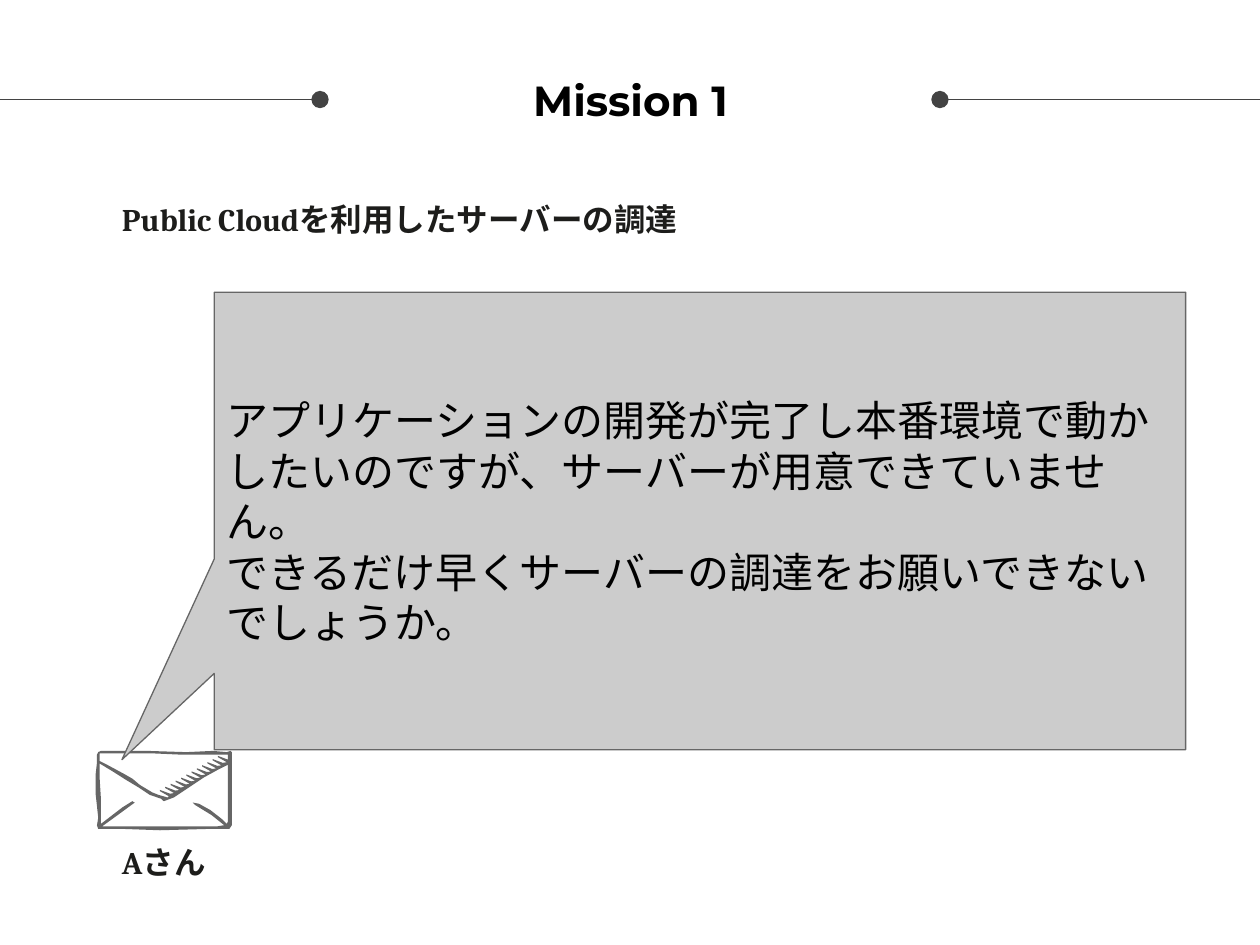
from dataclasses import dataclass, field

from lxml import etree
from pptx import Presentation, util as u
from pptx.dml.color import RGBColor
from pptx.enum import shapes as sh, text as t
from pptx.oxml.ns import qn

PX = 9144  # 100 px to the inch
FINE = 10  # steps per px in the icon
EAST = "Arial"  # font for Japanese letters
HUES = {"rule": "434343", "ink": "000000", "soft": "1D1D1B",
        "edge": "666666", "fill": "CCCCCC"}


@dataclass
class Words:
    lines: list[str]
    font: str
    size: int
    hue: str
    bold: bool = False
    align: t.PP_ALIGN = t.PP_ALIGN.LEFT
    anchor: t.MSO_ANCHOR = t.MSO_ANCHOR.TOP


@dataclass
class Label:
    box: tuple[int, int, int, int]
    words: Words = field(repr=False)


MID = {"align": t.PP_ALIGN.CENTER, "anchor": t.MSO_ANCHOR.MIDDLE}
TITLE = Label((255, 17, 491, 125),
              Words(["Mission 1"], "Montserrat", 24, "ink", True, **MID))
LABELS = [
    Label((87, 149, 826, 77),
          Words(["Public Cloudを利用したサーバーの調達"], "Cambria", 18, "soft", True)),
    Label((76, 659, 108, 77),
          Words(["Aさん"], "Cambria", 18, "soft", True, t.PP_ALIGN.CENTER)),
]
SPEECH = Label((170, 232, 771, 363), Words(
    ["アプリケーションの開発が完了し本番環境で動かしたいのですが、サーバーが用意できていません。",
     "できるだけ早くサーバーの調達をお願いできないでしょうか。"],
    "Arial", 24, "ink", anchor=t.MSO_ANCHOR.MIDDLE))
RULES = [(254, 0), (746, 1000)]
RULE_Y = 79

# Envelope: outer edge, then the holes above and below the flap
RIM = [(93, 596), (80, 596), (78, 597), (77, 599), (77, 605), (76, 614),
       (76, 631), (78, 649), (77, 655), (78, 658), (99, 658), (127, 659),
       (164, 658), (182, 658), (184, 655), (184, 597), (183, 596),
       (180, 597), (169, 596), (148, 597), (117, 596)]
FLAP = [(133, 633), (126, 631), (121, 629), (111, 623), (105, 618), (98, 614),
        (85, 607), (79, 604), (79, 598), (98, 598), (121, 598), (144, 599),
        (181, 599)]
FRONT = [(79, 606), (89, 612), (100, 619), (110, 625), (119, 631), (128, 634),
         (130, 636), (138, 633), (147, 627), (162, 617), (173, 611),
         (181, 607), (181, 652), (180, 654), (176, 650), (167, 643),
         (158, 638), (153, 637), (155, 639), (168, 647), (178, 655),
         (172, 656), (147, 656), (104, 656), (81, 656), (92, 648), (107, 637),
         (105, 636), (97, 641), (84, 651), (80, 654), (80, 632), (79, 616)]
TEETH = 12
TIPS = ((173, 600), (127, 627))
TOOTH = [(8, 3), (0, 0), (0, 1), (7, 5)]


def paint(item, **vals) -> None:
    for key, val in vals.items():
        setattr(item, key, val)


def rgb(hue: str) -> RGBColor:
    return RGBColor.from_string(HUES[hue])


def scale(box: tuple) -> list[int]:
    return [n * PX for n in box]


def write(shape, words: Words) -> None:
    frame = shape.text_frame
    inset = 10 * PX
    paint(frame, word_wrap=True, auto_size=t.MSO_AUTO_SIZE.NONE,
          vertical_anchor=words.anchor, margin_left=inset, margin_right=inset,
          margin_top=inset, margin_bottom=inset)
    for i, line in enumerate(words.lines):
        para = frame.add_paragraph() if i else frame.paragraphs[0]
        paint(para, alignment=words.align, space_before=u.Pt(0))
        para._p.get_or_add_pPr().set("hangingPunct", "0")
        run = para.add_run()
        run.text = line
        paint(run.font, name=words.font, size=u.Pt(words.size), bold=words.bold)
        run.font.color.rgb = rgb(words.hue)
        east = etree.Element(qn("a:ea"), typeface=EAST)
        run.font._element.find(qn("a:latin")).addnext(east)


def rule(slide, start: int, end: int) -> None:
    """Draw a thin line with a dot at its start."""
    line = slide.shapes.add_connector(
        sh.MSO_CONNECTOR.STRAIGHT, *scale((start, RULE_Y, end, RULE_Y)))
    line.line.color.rgb = rgb("rule")
    line.line.width = u.Pt(0.75)
    etree.SubElement(line.line._get_or_add_ln(), qn("a:headEnd"),
                     type="oval", w="lg", len="lg")
    etree.SubElement(line._element.spPr, qn("a:effectLst"))


def hatch() -> list[tuple[float, float]]:
    """Points of the evenly spaced shading strokes on the flap."""
    (x, y), (end_x, end_y) = TIPS
    step_x, step_y = (end_x - x) / (TEETH - 1), (end_y - y) / (TEETH - 1)
    return [(x + i * step_x + dx, y + i * step_y + dy)
            for i in range(TEETH) for dx, dy in TOOTH]


def icon(slide) -> None:
    rings = [[(x * FINE, y * FINE) for x, y in ring]
             for ring in (RIM, FLAP + hatch(), FRONT)]
    pen = slide.shapes.build_freeform(*rings[0][0], scale=PX / FINE)
    for i, ring in enumerate(rings):
        if i:
            pen.move_to(*ring[0])
        pen.add_line_segments(ring[1:], close=True)
    mail = pen.convert_to_shape()
    mail.shadow.inherit = False
    mail.fill.solid()
    mail.fill.fore_color.rgb = rgb("edge")
    mail.line.fill.background()


def bubble(slide, label: Label) -> None:
    shape = slide.shapes.add_shape(
        sh.MSO_SHAPE.ROUNDED_RECTANGULAR_CALLOUT, *scale(label.box))
    for i, val in enumerate((-0.595, 0.522, 0)):
        shape.adjustments[i] = val
    shape.shadow.inherit = False
    shape.fill.solid()
    shape.fill.fore_color.rgb = rgb("fill")
    shape.line.color.rgb = rgb("edge")
    shape.line.width = u.Pt(0.75)
    write(shape, label.words)


def main() -> None:
    deck = Presentation()
    paint(deck, slide_width=1000 * PX, slide_height=750 * PX)
    slide = deck.slides.add_slide(deck.slide_layouts[5])
    title = slide.shapes.title
    paint(title, **dict(zip(("left", "top", "width", "height"),
                            scale(TITLE.box))))
    write(title, TITLE.words)
    for start, end in RULES:
        rule(slide, start, end)
    icon(slide)
    bubble(slide, SPEECH)
    for label in LABELS:
        write(slide.shapes.add_textbox(*scale(label.box)), label.words)
    deck.save("out.pptx")


if __name__ == "__main__":
    main()
